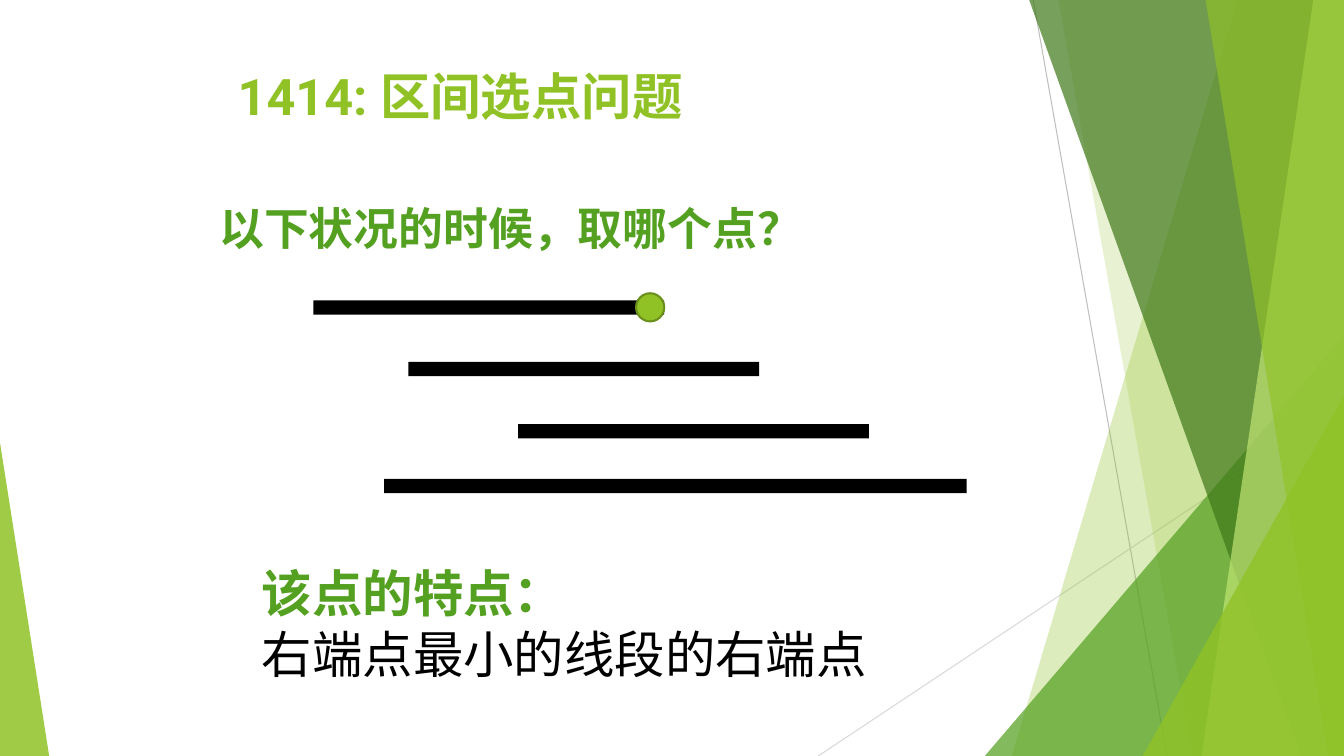
from pptx import Presentation
from pptx.dml.color import RGBColor
from pptx.enum.shapes import MSO_CONNECTOR as CONN, MSO_SHAPE as SHAPE
from pptx.enum.text import MSO_AUTO_SIZE as AUTO
from pptx.oxml.ns import qn
from pptx.util import Cm, Pt
from lxml import etree

LIME = RGBColor(0x90, 0xC2, 0x26)
GREEN = RGBColor(0x54, 0xA0, 0x21)
DARK_GREEN = RGBColor(0x3F, 0x78, 0x19)
PALE_LIME = RGBColor(0xC0, 0xE4, 0x74)
OLIVE = RGBColor(0x6B, 0x90, 0x1C)
GREY = RGBColor(0xBF, 0xBF, 0xBF)
LIGHT_GREY = RGBColor(0xD9, 0xD9, 0xD9)
BLACK = RGBColor(0, 0, 0)
W, H = 33.87, 19.05  # slide size in cm


class Deck:
    def __init__(self):
        self.prs = Presentation()
        self.prs.slide_width, self.prs.slide_height = Cm(W), Cm(H)
        self.s = self.prs.slides.add_slide(self.prs.slide_layouts[6])

    def paint(self, sp, color, alpha=100, line=None):
        sp.shadow.inherit = False
        sp.fill.solid()
        sp.fill.fore_color.rgb = color
        if alpha < 100:
            clr = sp.fill._xPr.find(qn("a:solidFill"))[0]
            etree.SubElement(clr, qn("a:alpha"), val=str(alpha * 1000))
        if line is None:
            sp.line.fill.background()
        else:
            sp.line.color.rgb = line
            sp.line.width = Pt(1.5)

    def line(self, x1, y1, x2, y2, color):
        cn = self.s.shapes.add_connector(CONN.STRAIGHT, Cm(x1), Cm(y1), Cm(x2), Cm(y2))
        cn.line.color.rgb = color
        cn.line.width = Pt(0.75)
        etree.SubElement(cn._element.spPr, qn("a:effectLst"))

    def band(self, top_x, bottom_x, color, alpha):
        """Full-height band from a slanted left edge to the right slide edge."""
        top = Cm(-0.02)
        fb = self.s.shapes.build_freeform(Cm(top_x), top)
        fb.add_line_segments([(Cm(W), top), (Cm(W), Cm(H)), (Cm(bottom_x), Cm(H))])
        self.paint(fb.convert_to_shape(), color, alpha)

    def shape(self, kind, x, y, w, h, color, alpha=100, line=None):
        sp = self.s.shapes.add_shape(kind, Cm(x), Cm(y), Cm(w), Cm(h))
        self.paint(sp, color, alpha, line)
        return sp

    def corner(self, w, h, color, alpha, right=True):
        """Right-angled triangle standing in a bottom corner."""
        sp = self.shape(SHAPE.ISOSCELES_TRIANGLE, W - w if right else 0, H - h,
                        w, h, color, alpha)
        sp.adjustments[0] = 1 if right else 0

    def text(self, x, y, w, h, size, lines, auto=AUTO.SHAPE_TO_FIT_TEXT):
        tf = self.s.shapes.add_textbox(Cm(x), Cm(y), Cm(w), Cm(h)).text_frame
        tf.word_wrap = True
        tf.auto_size = auto
        for i, (words, font, color, bold) in enumerate(lines):
            p = tf.add_paragraph() if i else tf.paragraphs[0]
            r = p.add_run()
            r.text = words
            r.font.name, r.font.size, r.font.bold = font, Pt(size), bold
            r.font.color.rgb = color


def main():
    d = Deck()

    # Background facets
    d.line(26.04, 0, 29.41, H, GREY)
    d.line(W, 10.24, 20.62, H, LIGHT_GREY)
    d.band(31.19, 25.5, LIME, 30)
    d.band(26.67, 30.05, LIME, 20)
    d.corner(9.05, 10.59, GREEN, 72)
    d.band(25.93, 32.79, DARK_GREEN, 70)
    d.band(33.1, 30.28, PALE_LIME, 70)
    d.band(30.38, 33.48, LIME, 65)
    d.corner(5.07, 9.07, LIME, 80)
    d.corner(1.24, 7.9, LIME, 85, right=False)

    # Title
    d.text(5.74, 1.52, 20.19, 2.01, 36,
           [("1414: 区间选点问题", "Roboto", LIME, True)], AUTO.NONE)

    # Intervals
    for x, y, w in [(7.9, 7.57, 8.84), (10.29, 9.12, 8.84),
                    (13.06, 10.69, 8.84), (9.68, 12.07, 14.68)]:
        d.shape(SHAPE.RECTANGLE, x, y, w, 0.36, BLACK)

    # Question and chosen point
    d.text(5.28, 4.93, 19.56, 1.63, 32,
           [("以下状况的时候，取哪个点？", "Arial", GREEN, True)])
    d.shape(SHAPE.OVAL, 16.03, 7.39, 0.71, 0.71, LIME, line=OLIVE)

    # Answer
    d.text(6.35, 14.05, 16.69, 3.33, 36,
           [("该点的特点：", "Arial", GREEN, True),
            ("右端点最小的线段的右端点", "Roboto", BLACK, False)])

    d.prs.save("out.pptx")


if __name__ == "__main__":
    main()
